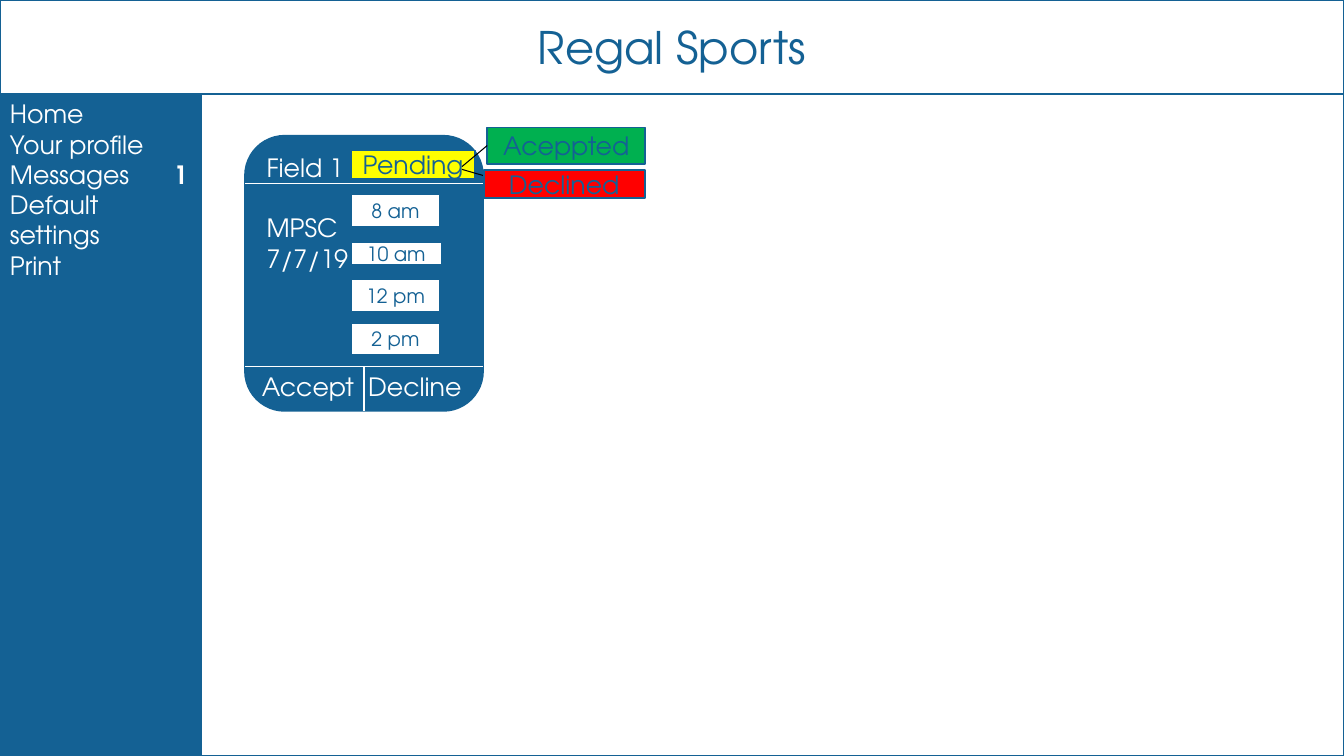
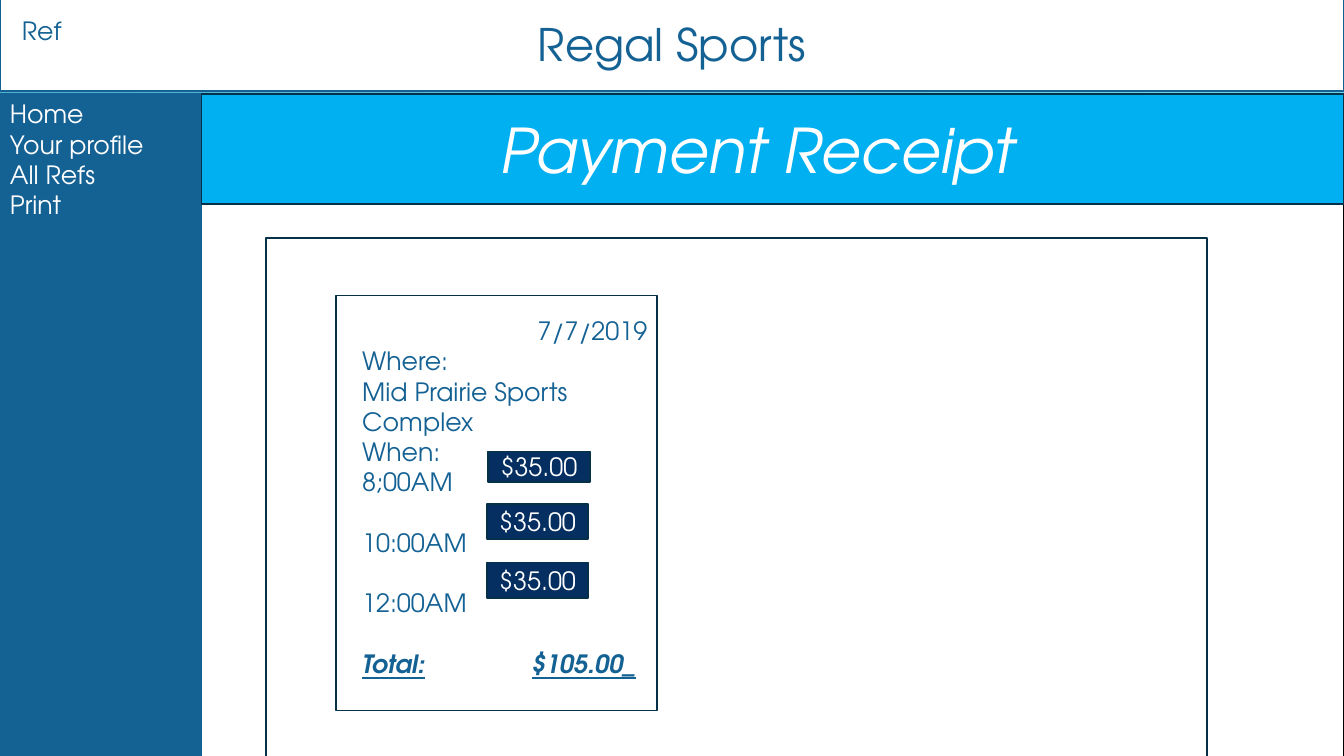
from dataclasses import dataclass

from lxml.etree import SubElement
from pptx import Presentation
from pptx.dml.color import RGBColor
from pptx.enum.shapes import MSO_CONNECTOR, MSO_SHAPE
from pptx.enum.text import MSO_ANCHOR, MSO_AUTO_SIZE, PP_ALIGN
from pptx.oxml.ns import qn
from pptx.util import Pt

FONT = "TeX Gyre Adventor"
BLUE = RGBColor(0x14, 0x61, 0x94)
NAVY = RGBColor(0x05, 0x2F, 0x61)
EDGE = RGBColor(0x04, 0x31, 0x48)
SKY = RGBColor(0x00, 0xB0, 0xF0)
WHITE = RGBColor(0xFF, 0xFF, 0xFF)
BLACK = RGBColor(0x00, 0x00, 0x00)
GREEN = RGBColor(0x00, 0xB0, 0x50)
RED = RGBColor(0xFF, 0x00, 0x00)
YELLOW = RGBColor(0xFF, 0xFF, 0x00)
GLOW = RGBColor(0x6E, 0xD2, 0xEB)
DEEP = RGBColor(0x06, 0x58, 0x8E)

WIDE, HIGH = 960, 540
TOP = 67
SIDE = 144
ROW = 21.6
LEFT, MID, RIGHT = PP_ALIGN.LEFT, PP_ALIGN.CENTER, PP_ALIGN.RIGHT


@dataclass
class Line:
    text: str
    tail: str = ""
    tab: float = 0
    gap: float = 0
    align: PP_ALIGN | None = None
    strong: bool = False


@dataclass
class Box:
    x: float
    y: float
    w: float
    h: float


@dataclass
class Label:
    text: str
    box: Box


SLOTS = [
    Label("8 am", Box(251, 139, 63, 23)),
    Label("10 am", Box(250.5, 173, 65, 16.5)),
    Label("12 pm", Box(251, 199.5, 63, 23)),
    Label("2 pm", Box(251, 230.5, 63, 23)),
]
FEES = [
    Label("$35.00", Box(348.5, 322.5, 73, 21.6)),
    Label("$35.00", Box(348, 360, 72, 25.2)),
    Label("$35.00", Box(348, 401.8, 72, 25.2)),
]


def write(shape, lines: list[Line], *, size=18, color=WHITE, align=LEFT,
          anchor=MSO_ANCHOR.TOP, left=7.2, right=7.2, top=3.6, italic=False):
    """Fill a shape with lines; a line's tail is bold and starts at its tab."""
    frame = shape.text_frame
    frame.word_wrap = True
    frame.auto_size = MSO_AUTO_SIZE.NONE
    frame.vertical_anchor = anchor
    frame.margin_left, frame.margin_right = Pt(left), Pt(right)
    frame.margin_top = Pt(top)
    for i, line in enumerate(lines):
        para = frame.add_paragraph() if i else frame.paragraphs[0]
        para.alignment = line.align or align
        if line.gap:
            para.space_before = Pt(line.gap)
        if line.tab:
            tabs = SubElement(para._p.get_or_add_pPr(), qn("a:tabLst"))
            SubElement(tabs, qn("a:tab"), pos=str(Pt(line.tab)), algn="l")
        parts = [(line.text, line.strong)]
        if line.tail:
            parts.append(("\t" + line.tail, True))
        for text, bold in parts:
            run = para.add_run()
            run.text = text
            font = run.font
            font.name, font.size, font.bold = FONT, Pt(size), bold
            font.italic = italic or line.strong
            font.underline = line.strong
            font.color.rgb = color


def place(shape, box: Box):
    shape.left, shape.top = Pt(box.x), Pt(box.y)
    shape.width, shape.height = Pt(box.w), Pt(box.h)


def paint(shape, fill: RGBColor | None, edge: RGBColor):
    if fill is None:
        shape.fill.background()
    else:
        shape.fill.solid()
        shape.fill.fore_color.rgb = fill
    shape.line.color.rgb = edge
    shape.line.width = Pt(1.25)


def block(slide, box: Box, fill: RGBColor | None, edge=BLUE, kind=MSO_SHAPE.RECTANGLE):
    shape = slide.shapes.add_shape(kind, Pt(box.x), Pt(box.y), Pt(box.w), Pt(box.h))
    shape.shadow.inherit = False
    paint(shape, fill, edge)
    return shape


def tag(slide, label: Label, fill: RGBColor, edge=BLUE, color=BLUE, **style):
    """Draw a filled box with one centred label."""
    shape = block(slide, label.box, fill, edge)
    write(shape, [Line(label.text)], color=color, align=MID,
          anchor=MSO_ANCHOR.MIDDLE, **style)
    return shape


def note(slide, box: Box, line: Line, **style):
    shape = slide.shapes.add_textbox(Pt(box.x), Pt(box.y), Pt(box.w), Pt(box.h))
    write(shape, [line], **style)


def rule(slide, x1: float, y1: float, x2: float, y2: float, color=WHITE):
    line = slide.shapes.add_connector(MSO_CONNECTOR.STRAIGHT, Pt(x1), Pt(y1), Pt(x2), Pt(y2))
    line.line.color.rgb = color
    line.line.width = Pt(0.75)
    SubElement(line._element.spPr, qn("a:effectLst"))
    return line


def page(deck, menu: list[Line], head: float, body: float, edge: RGBColor):
    """Add a slide with header, white body and side menu."""
    slide = deck.slides.add_slide(deck.slide_layouts[5])
    block(slide, Box(0, body, WIDE, HIGH - TOP), WHITE, edge)
    side = block(slide, Box(0, TOP, SIDE, HIGH - TOP), BLUE)
    write(side, menu)
    title = slide.shapes.title
    place(title, Box(0, head, WIDE, TOP))
    paint(title, WHITE, BLUE)
    write(title, [Line("Regal Sports")], size=32, color=BLUE, align=MID,
          anchor=MSO_ANCHOR.MIDDLE)
    return slide


def backdrop(deck):
    fill = deck.slide_master.background.fill
    fill.gradient()
    fill.gradient_angle = 258
    for stop, color, spot in zip(fill.gradient_stops, (GLOW, DEEP), (0.1, 1)):
        stop.color.rgb = color
        stop.position = spot


def games(deck):
    menu = [Line("Home"), Line("Your profile"), Line("Messages", tail="1", tab=117),
            Line("Default settings"), Line("Print")]
    slide = page(deck, menu, 0, TOP, BLUE)
    card = Box(175, 97, 170, 196.5)
    end, foot, half = card.x + card.w, 262, card.x + card.w / 2
    shape = block(slide, card, BLUE, kind=MSO_SHAPE.ROUNDED_RECTANGLE)
    write(shape, [Line("Field 1"), Line("MPSC", gap=ROW), Line("7/7/19")])
    rule(slide, card.x, 131, end, 131)
    for slot in SLOTS:
        tag(slide, slot, WHITE, size=14)
    tag(slide, Label("Pending", Box(250.5, 107.5, 89, 20)), YELLOW)
    note(slide, Box(card.x, foot, card.w, 29), Line("Accept\tDecline", tab=76), left=12)
    rule(slide, card.x, foot, end, foot)
    rule(slide, half, foot, half, card.y + card.h)
    yes = tag(slide, Label("Aceppted", Box(348, 91, 113, 26)), GREEN)
    rule(slide, 330, 119, 348, 104, BLACK).end_connect(yes, 1)
    rule(slide, 330, 121, 349, 126.5, BLACK)
    tag(slide, Label("Declined", Box(345.5, 121.5, 115, 20)), RED)


def receipt(deck):
    menu = [Line(text) for text in ("Home", "Your profile", "All Refs", "Print")]
    slide = page(deck, menu, -2, 78, BLACK)
    tag(slide, Label("Payment Receipt", Box(SIDE, TOP, WIDE - SIDE, 78.5)), SKY,
        EDGE, WHITE, size=44, italic=True, right=29)
    block(slide, Box(190, 170, 672, 374.5), None, EDGE)
    bill = block(slide, Box(240, 211, 229.5, 296.5), None, EDGE)
    write(bill, [
        Line("7/7/2019", align=RIGHT),
        Line("Where:"),
        Line("Mid Prairie Sports Complex"),
        Line("When:"),
        Line("8;00AM"),
        Line("10:00AM", gap=ROW),
        Line("12:00AM", gap=ROW),
        Line("Total:", tail="$105.00_", tab=121, gap=ROW, strong=True),
    ], color=BLUE, left=18.7, top=14.4)
    for fee in FEES:
        tag(slide, fee, NAVY, EDGE, WHITE)
    note(slide, Box(8.6, 7.2, 63.4, 29), Line("Ref"), color=BLUE)


def main():
    deck = Presentation()
    deck.slide_width, deck.slide_height = Pt(WIDE), Pt(HIGH)
    backdrop(deck)
    games(deck)
    receipt(deck)
    deck.save("out.pptx")


if __name__ == "__main__":
    main()
